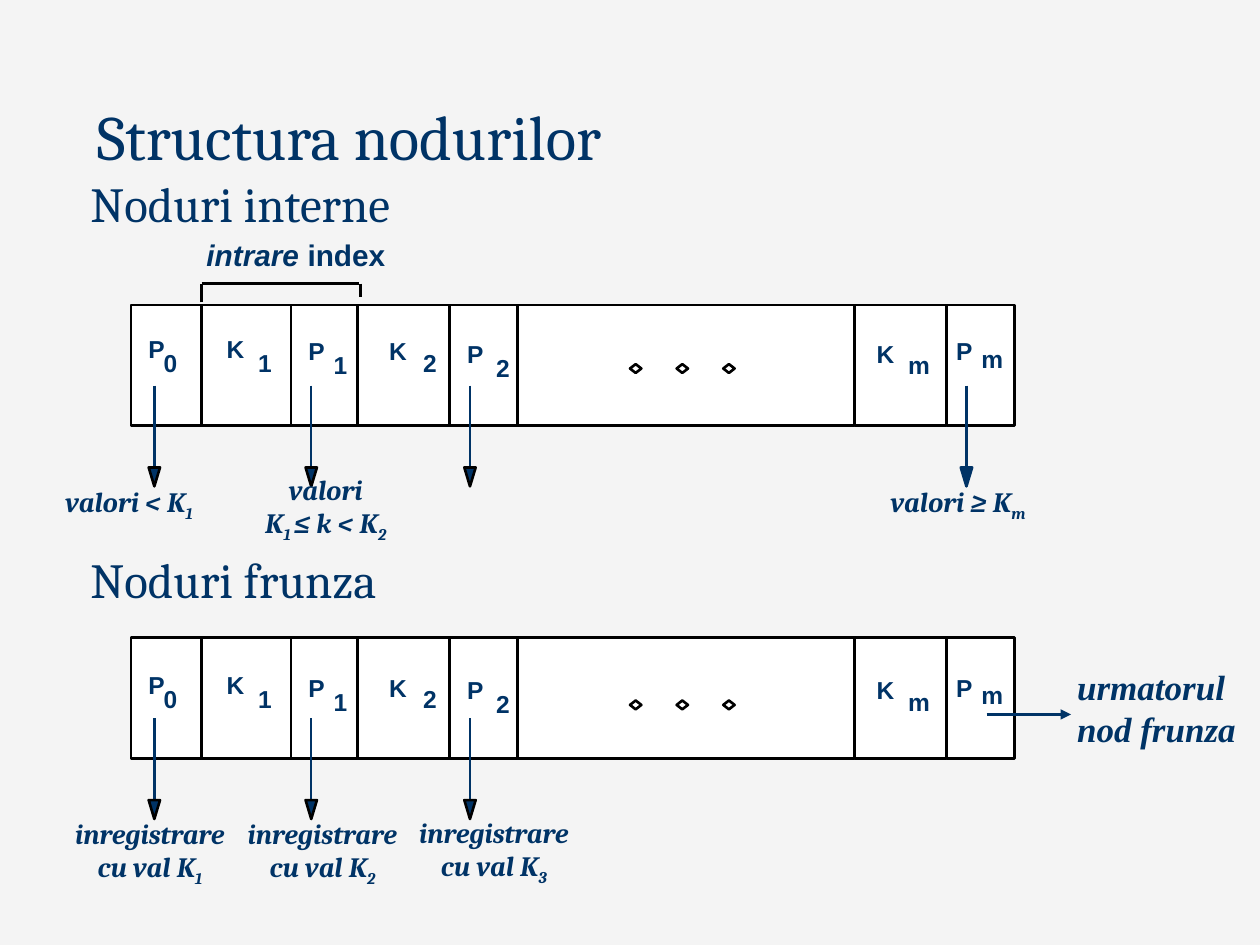
"""Build the slide on the structure of internal and leaf B+ tree nodes."""
from lxml import etree
from pptx import Presentation
from pptx.dml.color import RGBColor
from pptx.enum.shapes import MSO_CONNECTOR, MSO_SHAPE
from pptx.enum.text import MSO_ANCHOR, MSO_AUTO_SIZE, PP_ALIGN
from pptx.oxml.ns import qn
from pptx.util import Inches, Pt

RECT, DIAMOND, ARROWHEAD = MSO_SHAPE.RECTANGLE, MSO_SHAPE.DIAMOND, MSO_SHAPE.FLOWCHART_MERGE
STRAIGHT = MSO_CONNECTOR.STRAIGHT
TOP, BOTTOM = MSO_ANCHOR.TOP, MSO_ANCHOR.BOTTOM
GROW, FIXED = MSO_AUTO_SIZE.SHAPE_TO_FIT_TEXT, MSO_AUTO_SIZE.NONE
LEFT, CENTER = PP_ALIGN.LEFT, PP_ALIGN.CENTER

COLORS = {"bg": "F4F4F4", "navy": "003366", "black": "000000", "white": "FFFFFF"}
SERIF, SANS, TIMES = "Cambria", "Arial", "Times New Roman"

EDGES = [1.04, 1.6, 2.31, 2.84, 3.57, 4.11, 6.78, 7.51, 8.05]
CELL_H = 0.96
DOTS = [5, 5.37, 5.74]
POINTERS = [1.225, 2.47, 3.73]
LAST_POINTER = 7.67
# letter, its left and drop, then subscript, its left and drop
KEYS = [
    ("P", 1.08, 0, "0", 1.2, 0.11),
    ("K", 1.7, 0, "1", 1.95, 0.11),
    ("P", 2.35, 0.02, "1", 2.55, 0.13),
    ("K", 2.99, 0.02, "2", 3.26, 0.11),
    ("P", 3.61, 0.04, "2", 3.84, 0.15),
    ("K", 6.86, 0.04, "m", 7.11, 0.13),
    ("P", 7.49, 0.02, "m", 7.69, 0.08),
]
NODES = [
    {"top": 2.42, "keys": 2.6, "dots": 2.89, "pointers": POINTERS + [LAST_POINTER]},
    {"top": 5.06, "keys": 5.27, "dots": 5.56, "pointers": POINTERS},
]
BRACKET = [((1.6, 2.4), (1.6, 2.25)), ((1.6, 2.25), (2.85, 2.25)), ((2.86, 2.25), (2.86, 2.36))]
HEADINGS = [("Noduri interne", 1.33), ("Noduri frunza", 4.31)]
# box, wrap, alignment, runs as (text, is subscript)
NOTES = [
    ((0.42, 3.8, 1.3, 0.37), False, LEFT, [("valori < K", False), ("1", True)]),
    ((1.92, 3.7, 1.33, 0.64), True, CENTER,
     [("valori\vK", False), ("1 ", True), ("≤ k < K", False), ("2", True)]),
    ((6.97, 3.8, 1.34, 0.37), False, LEFT, [("valori ≥ K", False), ("m", True)]),
]
RECORDS = [("1", 0.44, 6.43), ("2", 1.81, 6.43), ("3", 3.17, 6.42)]
NOTES += [((x, y, 1.5, 0.64), True, CENTER, [("inregistrare cu val K", False), (n, True)])
          for n, x, y in RECORDS]


def rgb(name):
    return RGBColor.from_string(COLORS[name])


def add_text(s, box, runs, wrap=False, align=LEFT, anchor=TOP, fit=GROW):
    tf = s.shapes.add_textbox(*map(Inches, box)).text_frame
    tf.word_wrap, tf.auto_size, tf.vertical_anchor = wrap, fit, anchor
    p = tf.paragraphs[0]
    p.alignment = align
    for text, font, size, bold, italic, sub in runs:
        for i, part in enumerate(text.split("\v")):
            if i:
                p.add_line_break()
            r = p.add_run()
            r.text = part
            r.font.name, r.font.size = font, Pt(size)
            r.font.bold, r.font.italic = bold, italic
            r.font.color.rgb = rgb("navy")
            if sub:
                r.font._element.set("baseline", "-25000")


def add_outline(s, kind, box, fill=None, line="black"):
    sp = s.shapes.add_shape(kind, *map(Inches, box))
    sp.shadow.inherit = False
    sp.line.color.rgb, sp.line.width = rgb(line), Pt(1.5)
    if fill:
        sp.fill.solid()
        sp.fill.fore_color.rgb = rgb(fill)
    else:
        sp.fill.background()


def add_line(s, start, end, color, arrow=False):
    c = s.shapes.add_connector(STRAIGHT, *map(Inches, start + end))
    c.line.color.rgb, c.line.width = rgb(color), Pt(1.5)
    if arrow:
        etree.SubElement(c.line._get_or_add_ln(), qn("a:tailEnd"), type="triangle")
    etree.SubElement(c._element.spPr, qn("a:effectLst"))


def add_node(s, node):
    top = node["top"]
    for left, right in zip(EDGES, EDGES[1:]):
        add_outline(s, RECT, (left, top, right - left, CELL_H), "white")
    for x in DOTS:
        add_outline(s, DIAMOND, (x, node["dots"], 0.09, 0.07))
    for x in node["pointers"]:
        add_line(s, (x, top + 0.64), (x, top + 1.43), "navy")
        edge = "navy" if x == LAST_POINTER else "black"
        add_outline(s, ARROWHEAD, (x - 0.045, top + 1.29, 0.09, 0.15), "navy", edge)
    for letter, x, drop, sub, sub_x, sub_drop in KEYS:
        for text, left, dy in ((letter, x, drop), (sub, sub_x, sub_drop)):
            width = 0.38 if text == "m" else 0.33
            add_text(s, (left, node["keys"] + dy, width, 0.33),
                     [(text, SANS, 14, True, False, False)])


def main():
    prs = Presentation()
    prs.slide_width, prs.slide_height = Inches(10), Inches(7.5)
    s = prs.slides.add_slide(prs.slide_layouts[6])
    s.background.fill.solid()
    s.background.fill.fore_color.rgb = rgb("bg")

    add_text(s, (0.67, 0.71, 8.4, 0.71),
             [("Structura nodurilor", SERIF, 36, False, False, False)],
             wrap=True, anchor=BOTTOM)
    for text, y in HEADINGS:
        add_text(s, (0.62, y, 8.94, 0.94), [(text, SERIF, 28, False, False, False)],
                 wrap=True, fit=FIXED)
    for node in NODES:
        add_node(s, node)
    for start, end in BRACKET:
        add_line(s, start, end, "black")
    add_text(s, (1.54, 1.83, 1.64, 0.39),
             [("intrare ", SANS, 17, True, True, False), ("index", SANS, 17, True, False, False)])
    add_line(s, (7.83, 5.67), (8.5, 5.67), "navy", arrow=True)
    add_text(s, (8.45, 5.23, 1.47, 0.77),
             [("urmatorul\vnod frunza", TIMES, 20, True, True, False)])
    for box, wrap, align, parts in NOTES:
        add_text(s, box, [(text, SERIF, 16, True, True, sub) for text, sub in parts], wrap, align)
    prs.save("out.pptx")


if __name__ == "__main__":
    main()
